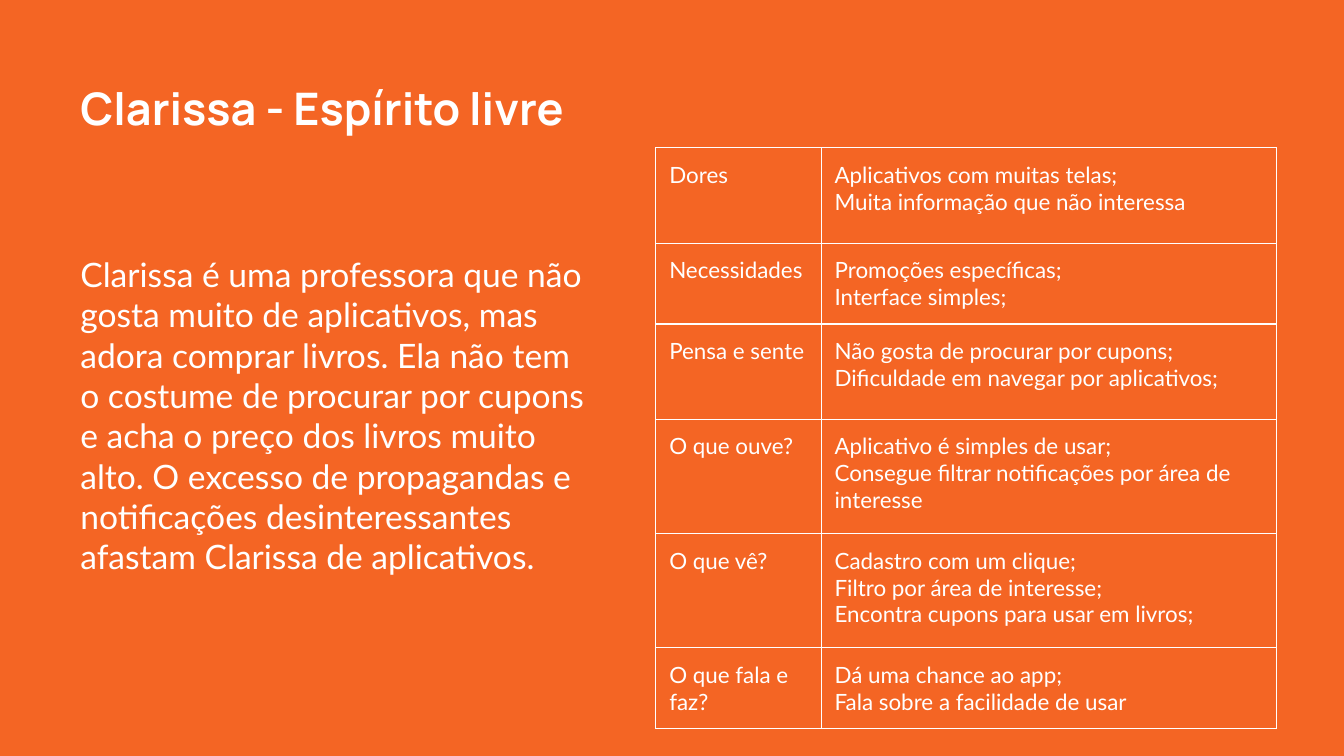
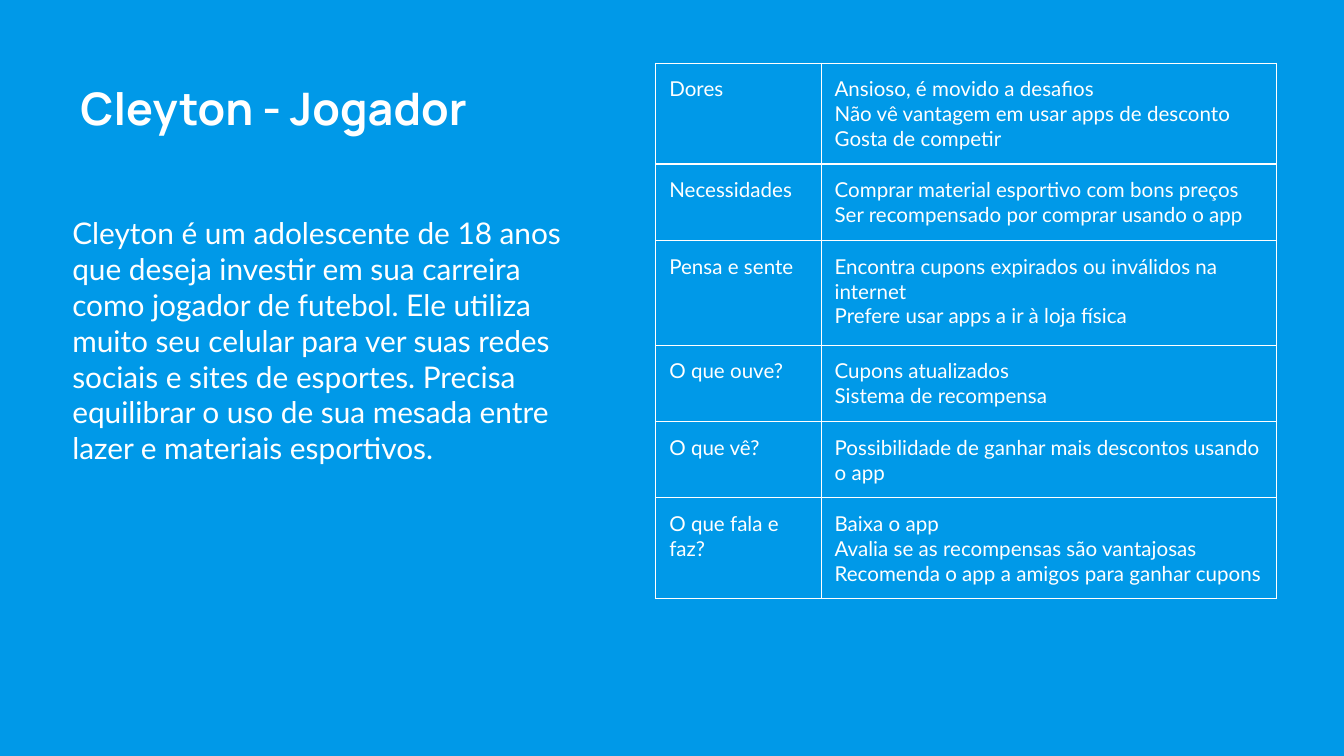
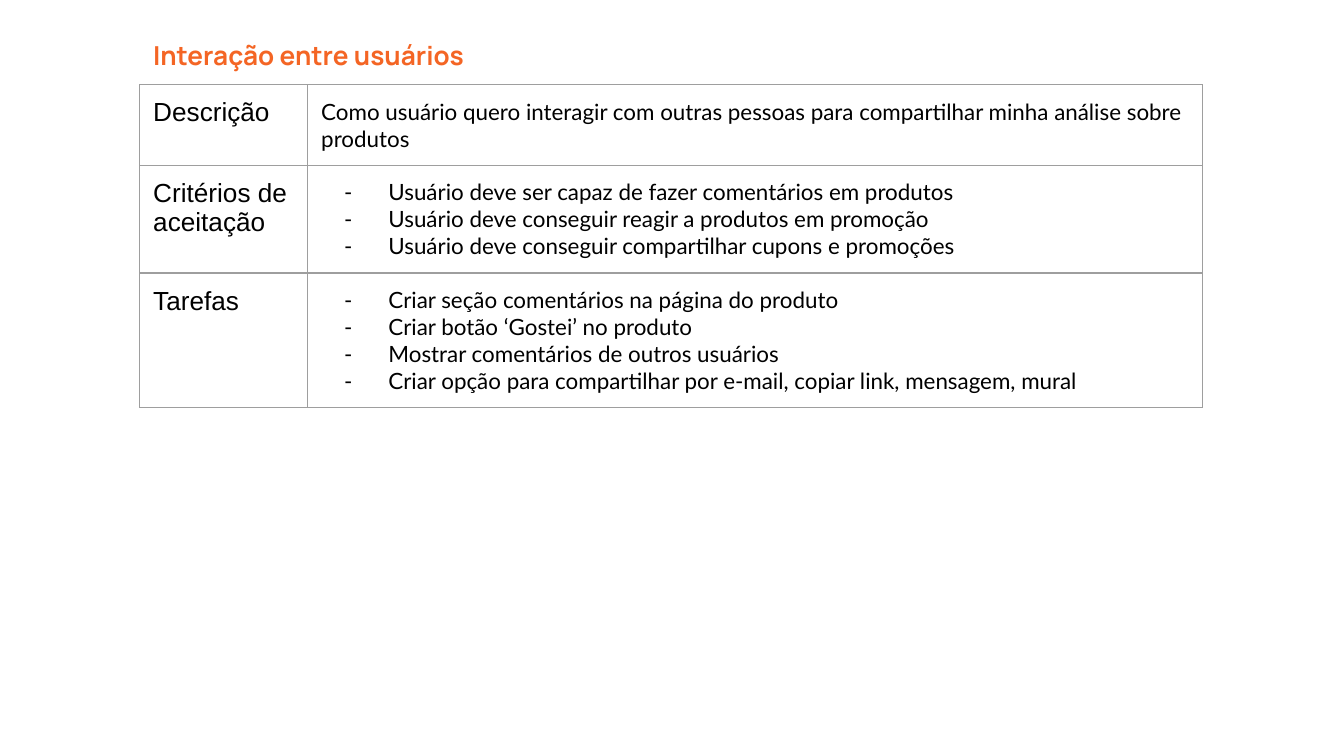
from dataclasses import dataclass, replace

from lxml import etree
from pptx import Presentation
from pptx.dml.color import RGBColor
from pptx.enum.text import MSO_AUTO_SIZE, MSO_VERTICAL_ANCHOR
from pptx.oxml.ns import qn
from pptx.presentation import Presentation as Deck
from pptx.slide import Slide
from pptx.table import _Cell as Cell
from pptx.text.text import TextFrame, _Paragraph as Paragraph
from pptx.util import Inches, Pt

GROW = MSO_AUTO_SIZE.SHAPE_TO_FIT_TEXT
TOP = MSO_VERTICAL_ANCHOR.TOP
BLANK_LAYOUT = 6
SLIDE_WIDTH = Inches(10)
SLIDE_HEIGHT = SLIDE_WIDTH * 9 // 16

COLORS = {
    "orange": "F46524",
    "blue": "0099E8",
    "white": "FFFFFF",
    "black": "000000",
    "gray": "9E9E9E",
}
INSET = Inches(0.1)
MARGINS = {f"margin_{side}": INSET for side in ("left", "right", "top", "bottom")}
BOX_FORMAT = MARGINS | {"word_wrap": True, "auto_size": GROW, "vertical_anchor": TOP}
CELL_FORMAT = MARGINS | {"vertical_anchor": TOP}
TABLE_FORMAT = {"first_row": False, "horz_banding": False}
BORDER_SIDES = ("a:lnL", "a:lnR", "a:lnT", "a:lnB")
BORDER_WIDTH = Pt(0.75)
BULLET_INDENT = Inches(0.5)
BULLET_HANGING = Inches(-0.33)


@dataclass(frozen=True)
class TextStyle:
    size: float
    color: str
    font: str = "Lato"
    bold: bool = False
    bullet: str = ""


@dataclass(frozen=True)
class TextBox:
    left: float
    top: float
    width: float
    height: float
    text: str
    style: TextStyle


@dataclass(frozen=True)
class Row:
    height: float
    label: str
    lines: tuple[str, ...]
    bulleted: bool = False


@dataclass(frozen=True)
class Grid:
    left: float
    top: float
    columns: tuple[float, float]
    rows: tuple[Row, ...]
    label_style: TextStyle
    line_style: TextStyle
    border: str


@dataclass(frozen=True)
class Page:
    background: str
    boxes: tuple[TextBox, ...]
    grid: Grid


TITLE = TextStyle(24, "white", "Manrope", bold=True)
SECTION = replace(TITLE, size=14, color="orange")
STORY_LABEL = TextStyle(14, "black", "Arial")
STORY_LINE = TextStyle(12, "black")


def persona_page(background: str, title: TextBox, profile: TextBox, top: float,
                 size: float, rows: tuple[Row, ...]) -> Page:
    """Describe a persona: name and profile on the left, empathy map on the right."""
    style = TextStyle(size, "white")
    grid = Grid(4.88, top, (1.23, 3.39), rows, style, style, "white")
    return Page(background, (title, profile), grid)


PAGES = (
    persona_page(
        "orange",
        TextBox(0.5, 0.5, 9, 0.61, "Clarissa - Espírito livre", TITLE),
        TextBox(
            0.5, 1.79, 4, 2.63,
            "Clarissa é uma professora que não gosta muito de aplicativos, mas adora "
            "comprar livros. Ela não tem o costume de procurar por cupons e acha o "
            "preço dos livros muito alto. O excesso de propagandas e notificações "
            "desinteressantes afastam Clarissa de aplicativos.",
            TextStyle(18, "white"),
        ),
        1.1, 12,
        (
            Row(0.71, "Dores", ("Aplicativos com muitas telas;",
                                "Muita informação que não interessa")),
            Row(0.51, "Necessidades", ("Promoções específicas;", "Interface simples;")),
            Row(0.71, "Pensa e sente", ("Não gosta de procurar por cupons;",
                                        "Dificuldade em navegar por aplicativos;")),
            Row(0.85, "O que ouve?", ("Aplicativo é simples de usar;",
                                      "Consegue filtrar notificações por área de interesse")),
            Row(0.85, "O que vê?", ("Cadastro com um clique;",
                                    "Filtro por área de interesse;",
                                    "Encontra cupons para usar em livros;")),
            Row(0.56, "O que fala e faz?", ("Dá uma chance ao app;",
                                            "Fala sobre a facilidade de usar")),
        ),
    ),
    persona_page(
        "blue",
        TextBox(0.5, 0.5, 3.95, 0.61, "Cleyton - Jogador", TITLE),
        TextBox(
            0.44, 1.5, 4, 2.09,
            "Cleyton é um adolescente de 18 anos que deseja investir em sua carreira "
            "como jogador de futebol. Ele utiliza muito seu celular para ver suas redes "
            "sociais e sites de esportes. Precisa equilibrar o uso de sua mesada entre "
            "lazer e materiais esportivos.",
            TextStyle(16, "white"),
        ),
        0.47, 11,
        (
            Row(0.67, "Dores", ("Ansioso, é movido a desafios",
                                "Não vê vantagem em usar apps de desconto",
                                "Gosta de competir")),
            Row(0.51, "Necessidades", ("Comprar material esportivo com bons preços",
                                       "Ser recompensado por comprar usando o app")),
            Row(0.78, "Pensa e sente", ("Encontra cupons expirados ou inválidos na internet",
                                        "Prefere usar apps a ir à loja física")),
            Row(0.46, "O que ouve?", ("Cupons atualizados", "Sistema de recompensa")),
            Row(0.45, "O que vê?", ("Possibilidade de ganhar mais descontos usando o app",)),
            Row(0.56, "O que fala e faz?", ("Baixa o app",
                                            "Avalia se as recompensas são vantajosas",
                                            "Recomenda o app a amigos para ganhar cupons")),
        ),
    ),
    Page(
        "white",
        (TextBox(1.04, 0.19, 7.92, 0.44, "Interação entre usuários", SECTION),),
        Grid(
            1.04, 0.63, (1.25, 6.66),
            (
                Row(0.56, "Descrição", (
                    "Como usuário quero interagir com outras pessoas para compartilhar "
                    "minha análise sobre produtos",)),
                Row(0.56, "Critérios de aceitação", (
                    "Usuário deve ser capaz de fazer comentários em produtos",
                    "Usuário deve conseguir reagir a produtos em promoção",
                    "Usuário deve conseguir compartilhar cupons e promoções"), bulleted=True),
                Row(0.56, "Tarefas", (
                    "Criar seção comentários na página do produto",
                    "Criar botão ‘Gostei’ no produto",
                    "Mostrar comentários de outros usuários",
                    "Criar opção para compartilhar por e-mail, copiar link, mensagem, mural"),
                    bulleted=True),
            ),
            STORY_LABEL, STORY_LINE, "gray",
        ),
    ),
)


def apply_format(target: object, values: dict[str, object]) -> None:
    for name, value in values.items():
        setattr(target, name, value)


def add_color(parent: etree._Element, tag: str, color: str) -> None:
    holder = etree.SubElement(parent, qn(tag))
    etree.SubElement(holder, qn("a:srgbClr"), val=COLORS[color])


def add_bullet(para: Paragraph, style: TextStyle) -> None:
    properties = para._p.get_or_add_pPr()
    properties.set("marL", str(BULLET_INDENT))
    properties.set("indent", str(BULLET_HANGING))
    add_color(properties, "a:buClr", style.color)
    etree.SubElement(properties, qn("a:buFont"), typeface=style.font)
    etree.SubElement(properties, qn("a:buChar"), char=style.bullet)


def write_lines(frame: TextFrame, lines: tuple[str, ...], style: TextStyle) -> None:
    """Write each line as one paragraph."""
    for index, line in enumerate(lines):
        para = frame.add_paragraph() if index else frame.paragraphs[0]
        if style.bullet:
            add_bullet(para, style)
        span = para.add_run()
        span.text = line
        apply_format(span.font, {"name": style.font, "size": Pt(style.size), "bold": style.bold})
        span.font.color.rgb = RGBColor.from_string(COLORS[style.color])


def draw_box(page: Slide, box: TextBox) -> None:
    place = (Inches(length) for length in (box.left, box.top, box.width, box.height))
    frame = page.shapes.add_textbox(*place).text_frame
    apply_format(frame, BOX_FORMAT)
    write_lines(frame, (box.text,), box.style)


def draw_cell(cell: Cell, lines: tuple[str, ...], style: TextStyle, border: str) -> None:
    apply_format(cell, CELL_FORMAT)
    properties = cell._tc.get_or_add_tcPr()
    for side in BORDER_SIDES:
        edge = etree.SubElement(properties, qn(side), w=str(BORDER_WIDTH))
        add_color(edge, "a:solidFill", border)
    cell.fill.background()
    write_lines(cell.text_frame, lines, style)


def draw_grid(page: Slide, grid: Grid) -> None:
    width = sum(grid.columns)
    height = sum(row.height for row in grid.rows)
    table = page.shapes.add_table(
        len(grid.rows), len(grid.columns),
        Inches(grid.left), Inches(grid.top), Inches(width), Inches(height),
    ).table
    apply_format(table, TABLE_FORMAT)
    for column, column_width in zip(table.columns, grid.columns):
        column.width = Inches(column_width)
    for table_row, row in zip(table.rows, grid.rows):
        table_row.height = Inches(row.height)
        label_cell, lines_cell = table_row.cells
        line_style = replace(grid.line_style, bullet="-" if row.bulleted else "")
        draw_cell(label_cell, (row.label,), grid.label_style, grid.border)
        draw_cell(lines_cell, row.lines, line_style, grid.border)


def draw_page(deck: Deck, content: Page) -> None:
    page = deck.slides.add_slide(deck.slide_layouts[BLANK_LAYOUT])
    fill = page.background.fill
    fill.solid()
    fill.fore_color.rgb = RGBColor.from_string(COLORS[content.background])
    draw_grid(page, content.grid)
    for box in content.boxes:
        draw_box(page, box)


def main() -> None:
    deck = Presentation()
    deck.slide_width = SLIDE_WIDTH
    deck.slide_height = SLIDE_HEIGHT
    for content in PAGES:
        draw_page(deck, content)
    deck.save("out.pptx")


if __name__ == "__main__":
    main()
